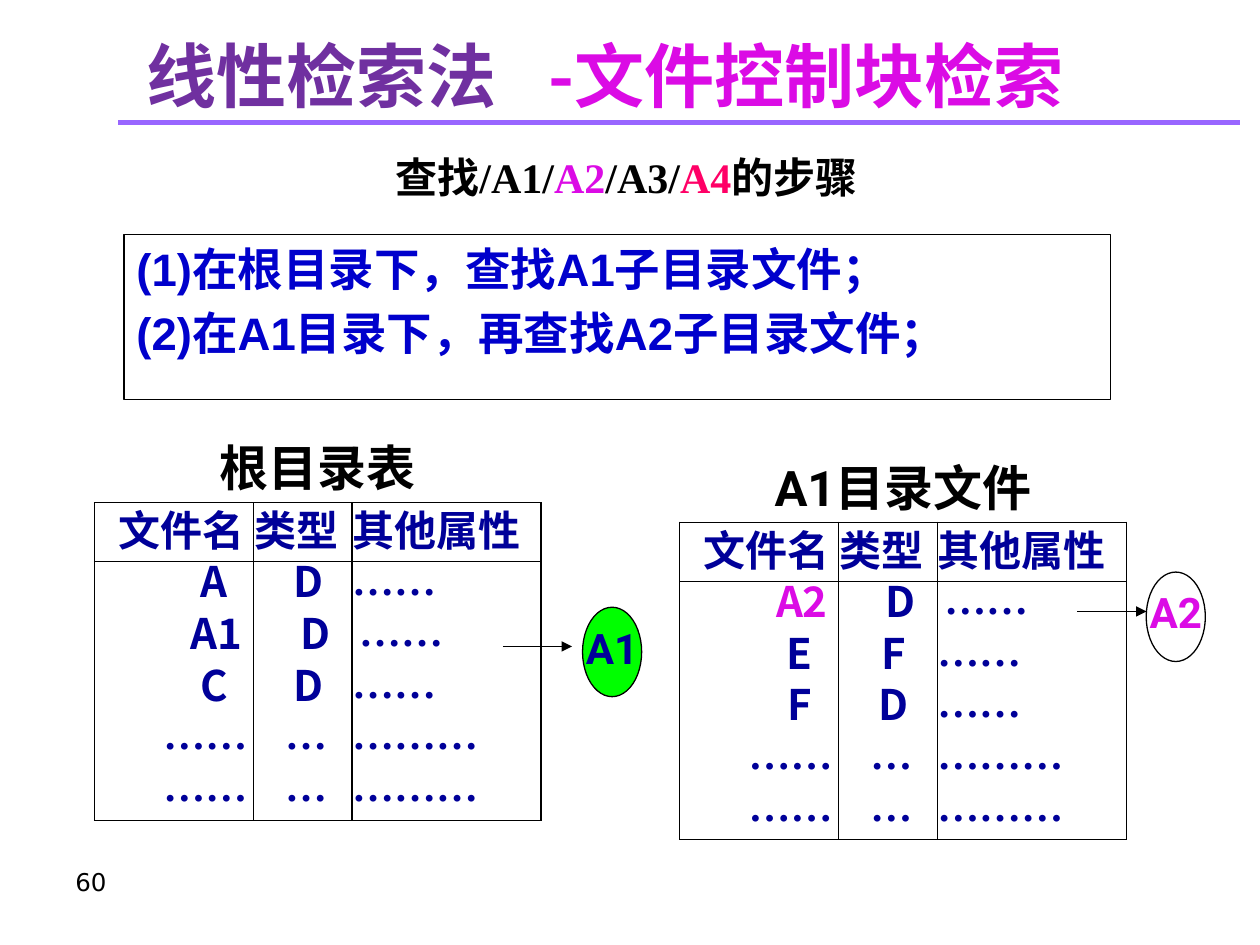
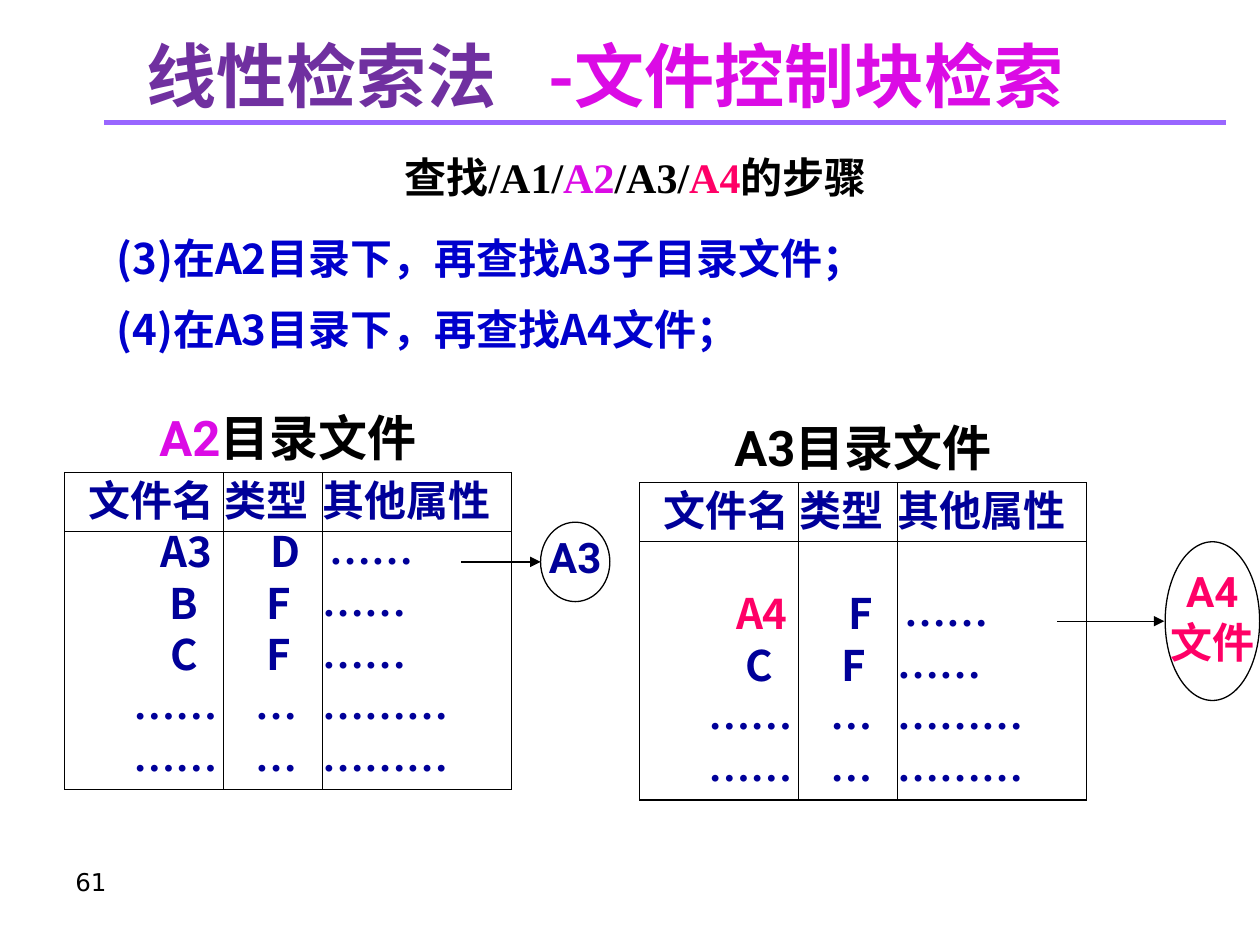
from lxml import etree
from pptx import Presentation
from pptx.dml.color import RGBColor
from pptx.enum.shapes import MSO_CONNECTOR, MSO_SHAPE
from pptx.enum.text import MSO_ANCHOR, MSO_AUTO_SIZE, PP_ALIGN
from pptx.oxml.ns import qn
from pptx.util import Pt

rgb = RGBColor.from_string

BLACK, WHITE, GREEN = "000000", "FFFFFF", "00FF00"
NAVY, BLUE, PURPLE, RULE = "000099", "0000CC", "7030A0", "9966FF"
MAGENTA, RED = "DB0BE5", "FF0066"
CJK, LATIN, LABEL, SYSTEM = "Noto Sans CJK SC", "Times New Roman", "Roboto", "DejaVu Sans"

COLUMN_WIDTHS = (90.7, 56.5, 108)
HEADER_HEIGHT, ENTRY_HEIGHT = 33.8, 29.52
HEADINGS = ("文件名", "类型", "其他属性")
MORE_ENTRIES = [("……", "…", "………")] * 2

# Left cell margins by kind of row
HEADING_INDENTS, ENTRY_INDENTS = (9, 0, 0), (46, 7, 0)
FOUND_INDENTS, MORE_INDENTS = (49, 15, 4), (36, 4, 0)

# Positions are (left, top, width, height); arrows are (start x, end x, y).
SLIDES = [
    {
        "number": "60", "rule_left": 67.7, "path_left": 210.4,
        "steps": ["(1)在根目录下，查找A1子目录文件；", "(2)在A1目录下，再查找A2子目录文件；"],
        "steps_box": (70.9, 133.9, 563.8, 94.3), "steps_framed": True,
        "steps_style": (26, "Arial", 0.8, 11.6), "steps_inset": 9.7,
        "directories": [
            {"at": (54, 287.3), "title": [("根目录表", BLACK)],
             "entries": [("A", "D", "……"), ("A1", "D", "……"), ("C", "D", "……")],
             "arrow": (287.3, 326.9, 369.4), "target": (332.9, 347, 33.8, 51.1),
             "found": ["A1"], "found_color": NAVY, "target_fill": GREEN},
            {"at": (388.4, 298.4), "title": [("A1目录文件", BLACK)],
             "entries": [("A2", "D", "……"), ("E", "F", "……"), ("F", "D", "……")],
             "arrow": (615.6, 655.2, 349.4), "target": (655, 326.9, 33.8, 51.1),
             "found": ["A2"], "found_color": MAGENTA, "target_fill": WHITE},
        ],
    },
    {
        "number": "61", "rule_left": 59.6, "path_left": 215.6,
        "steps": ["(3)在A2目录下，再查找A3子目录文件；", "(4)在A3目录下，再查找A4文件；"],
        "steps_box": (59.5, 122.4, 601.2, 96.5), "steps_framed": False,
        "steps_style": (24, CJK, 1.0, 11.7), "steps_inset": 10.3,
        "directories": [
            {"at": (36.9, 270), "title": [("A2", MAGENTA), ("目录文件", BLACK)],
             "entries": [("A3", "D", "……"), ("B", "F", "……"), ("C", "F", "……")],
             "arrow": (263.5, 308.9, 321.1), "target": (308.9, 298.4, 39.6, 45.4),
             "found": ["A3"], "found_color": NAVY, "target_fill": WHITE},
            {"at": (365.5, 275.8), "title": [("A3目录文件", BLACK)],
             "entries": [("", "", ""), ("A4", "F", "……"), ("C", "F", "……")],
             "arrow": (604.1, 665.3, 355), "target": (665.8, 309.6, 54, 90.7),
             "found": ["A4", "文件"], "found_color": RED, "target_fill": WHITE},
        ],
    },
]


def write(frame, paragraphs, size, face, color=BLACK, bold=True,
          align=PP_ALIGN.CENTER, spacing=None, before=0):
    """Fill a text frame; a paragraph is a string or a list of (text, colour) runs."""
    for index, content in enumerate(paragraphs):
        paragraph = frame.paragraphs[0] if index == 0 else frame.add_paragraph()
        paragraph.alignment = align
        if spacing:
            paragraph.line_spacing = spacing
        if index and before:
            paragraph.space_before = Pt(before)
        font = paragraph.font
        font.size, font.name, font.bold = Pt(size), face, bold
        runs = [(content, color)] if isinstance(content, str) else content
        same_color = len({run_color for _, run_color in runs}) == 1
        if same_color:
            font.color.rgb = rgb(runs[0][1])
        for text, run_color in runs:
            run = paragraph.add_run()
            run.text = text
            if not same_color:
                run.font.color.rgb = rgb(run_color)


def draw_line(slide, x1, y1, x2, y2, color=BLACK, width=0.75, arrow=False):
    line = slide.shapes.add_connector(MSO_CONNECTOR.STRAIGHT, Pt(x1), Pt(y1), Pt(x2), Pt(y2))
    line.line.color.rgb = rgb(color)
    line.line.width = Pt(width)
    if arrow:
        etree.SubElement(line.line._get_or_add_ln(), qn("a:tailEnd"), type="triangle")
    etree.SubElement(line._element.spPr, qn("a:effectLst"))


prs = Presentation()
prs.slide_width, prs.slide_height = Pt(720), Pt(540)

for content in SLIDES:
    slide = prs.slides.add_slide(prs.slide_layouts[6])
    shapes = slide.shapes

    # Title in two parts, with the rule below
    for left, width, text, face, color in (
        (72, 223.8, "线性检索法", SYSTEM, PURPLE),
        (286.8, 347.8, "-文件控制块检索", CJK, MAGENTA),
    ):
        title = shapes.add_textbox(Pt(left), Pt(15.1), Pt(width), Pt(55.4)).text_frame
        title.word_wrap = False
        write(title, [text], 40, face, color)
    draw_line(slide, content["rule_left"], 69.9, content["rule_left"] + 640.8, 69.9, RULE, 3)

    number = shapes.add_textbox(Pt(36), Pt(491.8), Pt(167.8), Pt(37.4)).text_frame
    number.word_wrap = True
    write(number, [content["number"]], 14, SYSTEM, bold=False, align=PP_ALIGN.LEFT)

    # Steps
    steps = shapes.add_textbox(*map(Pt, content["steps_box"]))
    if content["steps_framed"]:
        steps.fill.solid()
        steps.fill.fore_color.rgb = rgb(WHITE)
        steps.line.color.rgb = rgb(BLACK)
        steps.line.width = Pt(0.75)
    steps.text_frame.word_wrap = True
    steps.text_frame.margin_top = Pt(content["steps_inset"])
    size, face, spacing, before = content["steps_style"]
    write(steps.text_frame, content["steps"], size, face, BLUE,
          align=PP_ALIGN.LEFT, spacing=spacing, before=before)

    # The path that is looked up
    search_path = shapes.add_textbox(Pt(content["path_left"]), Pt(82.8), Pt(295.2), Pt(36))
    search_path.fill.solid()
    search_path.fill.fore_color.rgb = rgb(WHITE)
    search_path.text_frame.word_wrap = False
    write(search_path.text_frame, [[("查找/A1/", BLACK), ("A2", MAGENTA), ("/A3/", BLACK),
                                    ("A4", RED), ("的步骤", BLACK)]], 24, LATIN)

    for directory in content["directories"]:
        left, top = directory["at"]
        found = directory["found"]

        caption = shapes.add_textbox(Pt(left + 28.2), Pt(top - 34.2), Pt(198.7), Pt(34.6)).text_frame
        caption.word_wrap = True
        caption.auto_size = MSO_AUTO_SIZE.SHAPE_TO_FIT_TEXT
        write(caption, [directory["title"]], 28, LABEL, spacing=0.8)

        # Directory listing
        rows = [HEADINGS] + directory["entries"] + MORE_ENTRIES
        height = HEADER_HEIGHT + ENTRY_HEIGHT * (len(rows) - 1)
        listing = shapes.add_table(len(rows), len(HEADINGS), Pt(left), Pt(top),
                                   Pt(sum(COLUMN_WIDTHS)), Pt(height)).table
        listing.first_row = listing.horz_banding = False
        for column, width in zip(listing.columns, COLUMN_WIDTHS):
            column.width = Pt(width)
        for r, row in enumerate(rows):
            listing.rows[r].height = Pt(ENTRY_HEIGHT if r else HEADER_HEIGHT)
            if r == 0:
                indents = HEADING_INDENTS
            elif row[0] == found[0]:
                indents = FOUND_INDENTS
            else:
                indents = MORE_INDENTS if row in MORE_ENTRIES else ENTRY_INDENTS
            for c, text in enumerate(row):
                dotted = "…" in text
                cell = listing.cell(r, c)
                cell.margin_left = Pt(indents[c])
                cell.margin_right = Pt(7 if r == 0 and c == 1 else 0)
                cell.margin_top = Pt(2 if dotted else 0)
                cell.margin_bottom = 0
                cell.vertical_anchor = MSO_ANCHOR.TOP if r else MSO_ANCHOR.MIDDLE
                borders = {"lnL": True, "lnR": True, "lnT": r < 2,
                           "lnB": r in (0, len(rows) - 1)}
                for side, visible in borders.items():
                    border = etree.SubElement(cell._tc.get_or_add_tcPr(), qn(f"a:{side}"), w=str(Pt(0.75)))
                    fill = etree.SubElement(border, qn("a:solidFill" if visible else "a:noFill"))
                    if visible:
                        etree.SubElement(fill, qn("a:srgbClr"), val=BLACK)
                cell.fill.background()
                if text:
                    color = directory["found_color"] if text == found[0] else NAVY
                    write(cell.text_frame, [text], 24, LATIN if dotted else CJK, color,
                          align=PP_ALIGN.LEFT if c == 2 else PP_ALIGN.CENTER,
                          spacing=0.8 if dotted or r == 0 else 0.74)

        # Arrow to the file that was found
        start, end, y = directory["arrow"]
        draw_line(slide, start, y, end, y, arrow=True)
        target = shapes.add_shape(MSO_SHAPE.OVAL, *map(Pt, directory["target"]))
        target.shadow.inherit = False
        target.fill.solid()
        target.fill.fore_color.rgb = rgb(directory["target_fill"])
        target.line.color.rgb = rgb(BLACK)
        target.line.width = Pt(0.75)
        target.text_frame.word_wrap = False
        target.text_frame.vertical_anchor = MSO_ANCHOR.MIDDLE
        write(target.text_frame, found, 24, LABEL, directory["found_color"], spacing=0.8, before=6)

prs.save("out.pptx")
